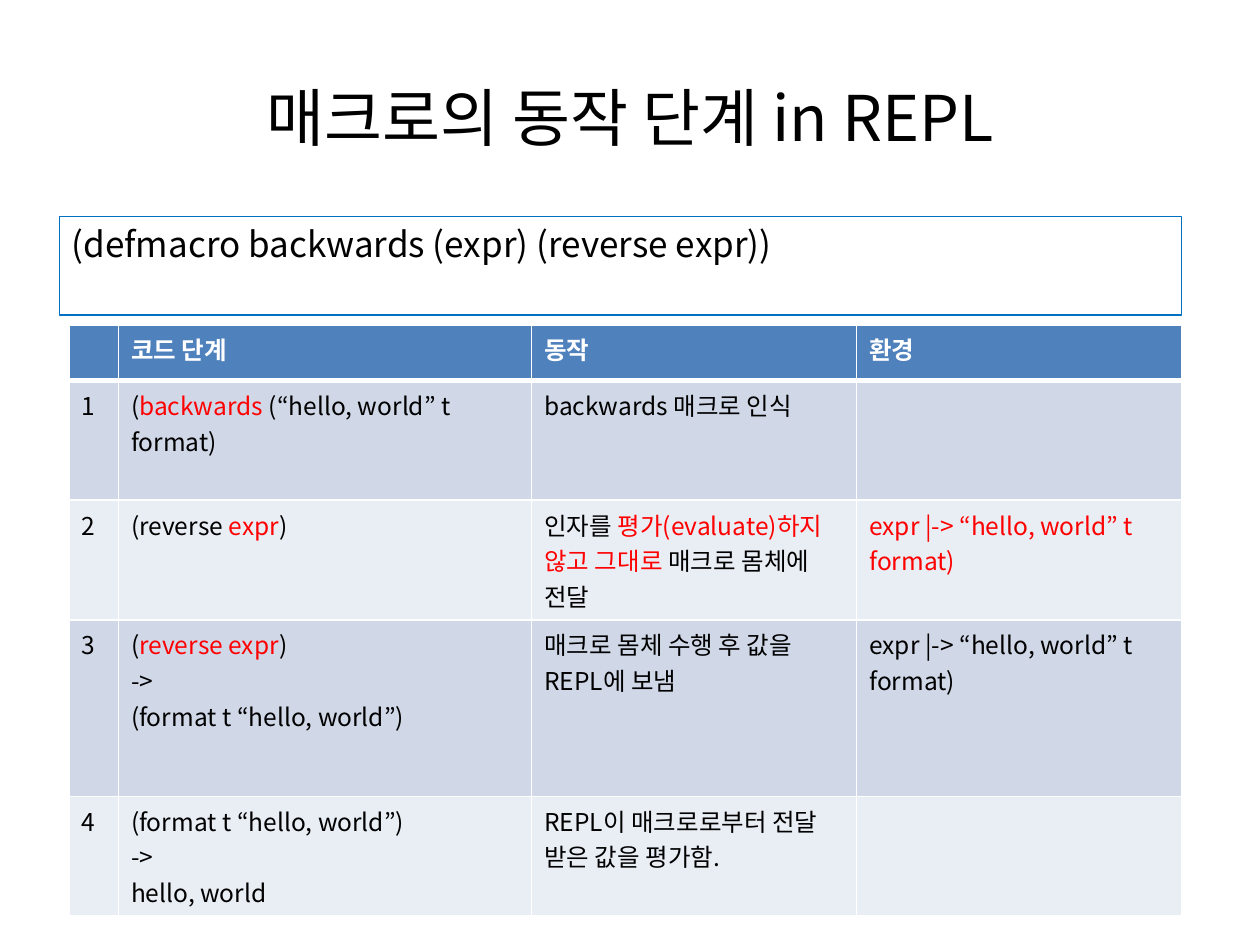
from dataclasses import dataclass

from lxml.etree import SubElement
from pptx import Presentation
from pptx.dml.color import RGBColor
from pptx.enum.shapes import MSO_SHAPE as Shape
from pptx.enum.text import MSO_ANCHOR as Anchor, PP_ALIGN as Align
from pptx.oxml.ns import qn
from pptx.util import Inches, Pt

TITLE = "매크로의 동작 단계 in REPL"
MACRO = "(defmacro backwards (expr) (reverse expr))"
BINDING = "expr |-> “hello, world” t format)"

# A cell is a list of paragraphs; a paragraph is a list of runs.
# A run is plain text, or a (text, color name) pair.
HEADER = ["", "코드 단계", "동작", "환경"]
STEPS = [
    [
        [["1"]],
        [["(", ("backwards ", "accent"), "(“hello, world” t format)"]],
        [["backwards 매크로 인식"]],
        [],
    ],
    [
        [["2"]],
        [["(reverse ", ("expr", "accent"), ")"]],
        [["인자를 ", ("평가(evaluate)하지 않고 그대로 ", "accent"),
          "매크로 몸체에 전달"]],
        [[(BINDING, "accent")]],
    ],
    [
        [["3"]],
        [["(", ("reverse expr", "accent"), ")"], ["->"],
         ["(format t “hello, world”)"]],
        [["매크로 몸체 수행 후 값을 REPL에 보냄"]],
        [[BINDING]],
    ],
    [
        [["4"]],
        [["(format t “hello, world”)"], ["->"], ["hello, world"]],
        [["REPL이 매크로로부터 전달 받은 값을 평가함."]],
        [],
    ],
]
COLUMN_WIDTHS = [0.39, 3.28, 2.58, 2.58]
ROW_HEIGHTS = [0.44, 0.95, 0.95, 1.4, 0.95]


@dataclass(frozen=True)
class Theme:
    """Colors, font and type sizes of the slide."""
    font: str = "Noto Sans CJK KR"
    text: str = "000000"
    white: str = "FFFFFF"
    accent: str = "FF0000"
    outline: str = "0070C0"
    header: str = "4F81BD"
    bands: tuple = ("D0D8E8", "E9EDF4")
    title_size: int = 36
    macro_size: int = 20
    table_size: int = 14


THEME = Theme()


def rgb(color):
    """Turn a hex string into a color."""
    return RGBColor.from_string(color)


def write(frame, paragraphs, size, color="text", bold=False, align=Align.LEFT):
    """Fill a text frame run by run."""
    frame.word_wrap = True
    for index, runs in enumerate(paragraphs):
        paragraph = frame.add_paragraph() if index else frame.paragraphs[0]
        paragraph.alignment = align
        for item in runs:
            text, run_color = (item, color) if isinstance(item, str) else item
            run = paragraph.add_run()
            run.text = text
            font = run.font
            font.name, font.size, font.bold = THEME.font, Pt(size), bold
            font.color.rgb = rgb(getattr(THEME, run_color))
            SubElement(font._element, qn("a:ea"), typeface=THEME.font)


def style_cell(cell, fill, bottom=1, top=1):
    """Give a cell white borders and a solid fill."""
    properties = cell._tc.get_or_add_tcPr()
    for side, width in (("L", 1), ("R", 1), ("T", top), ("B", bottom)):
        line = SubElement(properties, qn(f"a:ln{side}"), w=str(Pt(width)))
        solid = SubElement(line, qn("a:solidFill"))
        SubElement(solid, qn("a:srgbClr"), val=THEME.white)
    cell.fill.solid()
    cell.fill.fore_color.rgb = rgb(fill)


def add_title(slide):
    """Add the centred heading."""
    box = slide.shapes.add_textbox(Inches(0.5), Inches(0.3), Inches(9), Inches(1.25))
    box.text_frame.vertical_anchor = Anchor.MIDDLE
    write(box.text_frame, [[TITLE]], THEME.title_size, align=Align.CENTER)


def add_macro_box(slide):
    """Add the outlined box with the macro definition."""
    box = slide.shapes.add_shape(
        Shape.RECTANGLE, Inches(0.47), Inches(1.72), Inches(8.91), Inches(0.78))
    box.shadow.inherit = False
    box.fill.background()
    box.line.color.rgb = rgb(THEME.outline)
    box.line.width = Pt(0.75)
    box.text_frame.vertical_anchor = Anchor.TOP
    write(box.text_frame, [[MACRO]], THEME.macro_size)


def add_steps_table(slide):
    """Add the table of evaluation steps."""
    table = slide.shapes.add_table(
        len(ROW_HEIGHTS), len(COLUMN_WIDTHS), Inches(0.55), Inches(2.58),
        Inches(sum(COLUMN_WIDTHS)), Inches(sum(ROW_HEIGHTS))).table
    for column, width in zip(table.columns, COLUMN_WIDTHS):
        column.width = Inches(width)
    for row, height in zip(table.rows, ROW_HEIGHTS):
        row.height = Inches(height)
    for column, label in enumerate(HEADER):
        cell = table.cell(0, column)
        style_cell(cell, THEME.header, bottom=3)
        if label:
            write(cell.text_frame, [[label]], THEME.table_size, "white", bold=True)
    for row, step in enumerate(STEPS, start=1):
        for column, paragraphs in enumerate(step):
            cell = table.cell(row, column)
            style_cell(cell, THEME.bands[(row - 1) % 2], top=3 if row == 1 else 1)
            write(cell.text_frame, paragraphs, THEME.table_size)


def main():
    """Build and save the slide."""
    presentation = Presentation()
    presentation.slide_width, presentation.slide_height = Inches(10), Inches(7.5)
    slide = presentation.slides.add_slide(presentation.slide_layouts[6])
    add_title(slide)
    add_macro_box(slide)
    add_steps_table(slide)
    presentation.save("out.pptx")


main()
